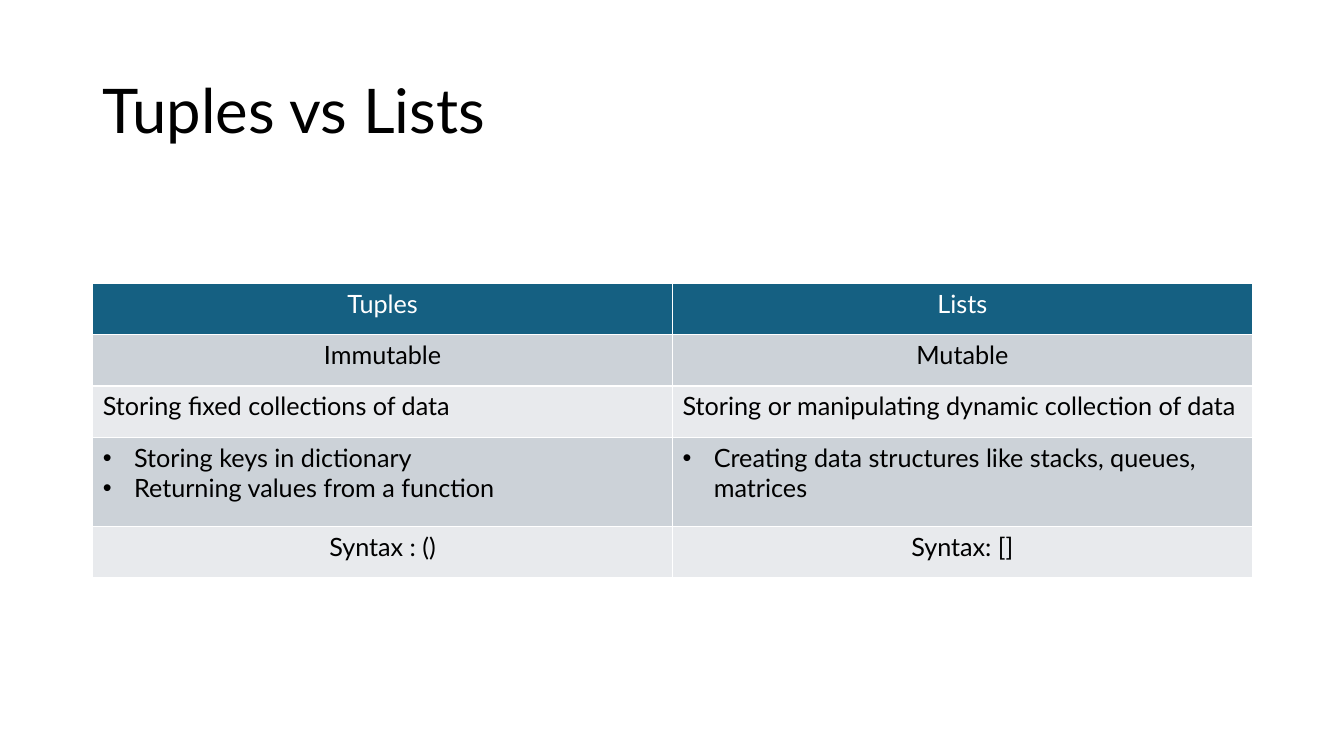
from lxml.etree import SubElement
from pptx import Presentation
from pptx.dml.color import RGBColor
from pptx.enum.text import MSO_ANCHOR, PP_ALIGN
from pptx.oxml.ns import qn
from pptx.util import Inches, Pt

COLORS = {
    "text": "000000",
    "white": "FFFFFF",
    "header": "156082",
    "band_dark": "CCD2D8",
    "band_light": "E8EAED",
}
LEFT, WIDTH = 0.92, 11.5
BULLET_INDENT = Inches(0.31)


def write_text(frame, text, size=18, color="text", align=PP_ALIGN.LEFT,
               spacing=1.0, bullet=False):
    """Fill a text frame, one paragraph for each line of text."""
    frame.word_wrap = True
    for index, line in enumerate(text.split("\n")):
        paragraph = frame.paragraphs[0] if index == 0 else frame.add_paragraph()
        paragraph.alignment = align
        paragraph.line_spacing = spacing
        run = paragraph.add_run()
        run.text = line
        run.font.name = "Lato"
        run.font.size = Pt(size)
        run.font.bold = False
        run.font.color.rgb = RGBColor.from_string(COLORS[color])
        if bullet:
            properties = paragraph._p.get_or_add_pPr()
            properties.set("marL", str(BULLET_INDENT))
            properties.set("indent", str(-BULLET_INDENT))
            SubElement(properties, qn("a:buFont"), typeface="Arial")
            SubElement(properties, qn("a:buChar"), char="•")


def add_borders(cell, color="white", width=1):
    """Draw the same line on all four sides of a table cell."""
    properties = cell._tc.get_or_add_tcPr()
    for side in ("lnL", "lnR", "lnT", "lnB"):
        line = SubElement(properties, qn(f"a:{side}"), w=str(Pt(width)))
        fill = SubElement(line, qn("a:solidFill"))
        SubElement(fill, qn("a:srgbClr"), val=COLORS[color])


presentation = Presentation()
presentation.slide_width = Inches(13.33)
presentation.slide_height = Inches(7.5)
slide = presentation.slides.add_slide(presentation.slide_layouts[6])

# Title
title = slide.shapes.add_textbox(Inches(LEFT), Inches(0.4), Inches(WIDTH), Inches(1.45))
title.text_frame.vertical_anchor = MSO_ANCHOR.MIDDLE
write_text(title.text_frame, "Tuples vs Lists", size=44, spacing=0.9)

# Comparison rows: height, fill, text format, cell texts
centered = {"align": PP_ALIGN.CENTER}
comparison = [
    (0.51, "header", {**centered, "color": "white"}, ("Tuples", "Lists")),
    (0.51, "band_dark", centered, ("Immutable", "Mutable")),
    (0.51, "band_light", {}, ("Storing fixed collections of data",
                              "Storing or manipulating dynamic collection of data")),
    (0.88, "band_dark", {"bullet": True},
     ("Storing keys in dictionary\nReturning values from a function",
      "Creating data structures like stacks, queues, matrices")),
    (0.51, "band_light", centered, ("Syntax : ()", "Syntax: []")),
]

# Comparison table
table_height = sum(row[0] for row in comparison)
table = slide.shapes.add_table(
    len(comparison), 2, Inches(LEFT), Inches(2.81), Inches(WIDTH), Inches(table_height)
).table
for column in table.columns:
    column.width = Inches(WIDTH / 2)
for row, (height, fill, text_format, texts) in zip(table.rows, comparison):
    row.height = Inches(height)
    for cell, text in zip(row.cells, texts):
        add_borders(cell)
        cell.fill.solid()
        cell.fill.fore_color.rgb = RGBColor.from_string(COLORS[fill])
        write_text(cell.text_frame, text, **text_format)

presentation.save("out.pptx")
